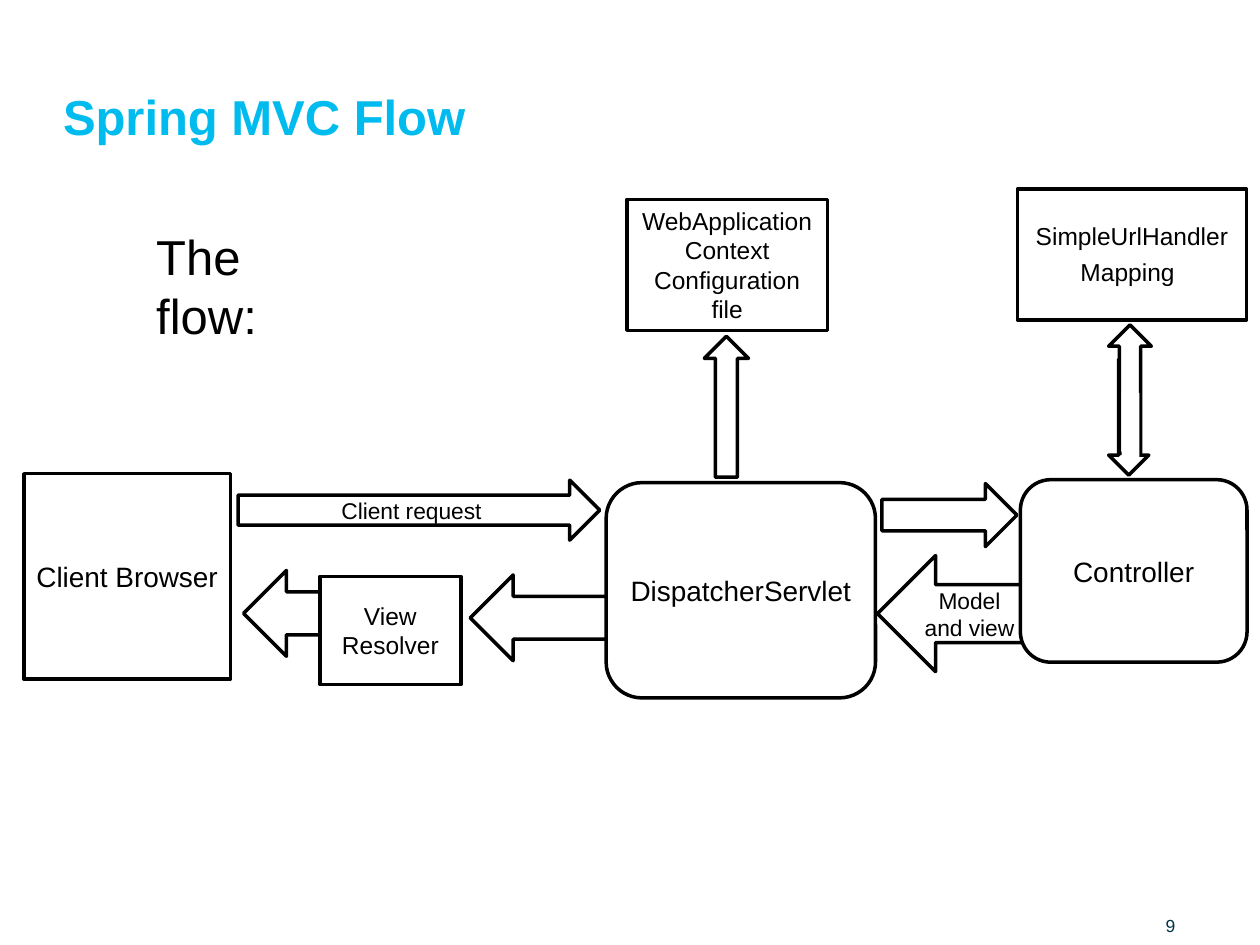
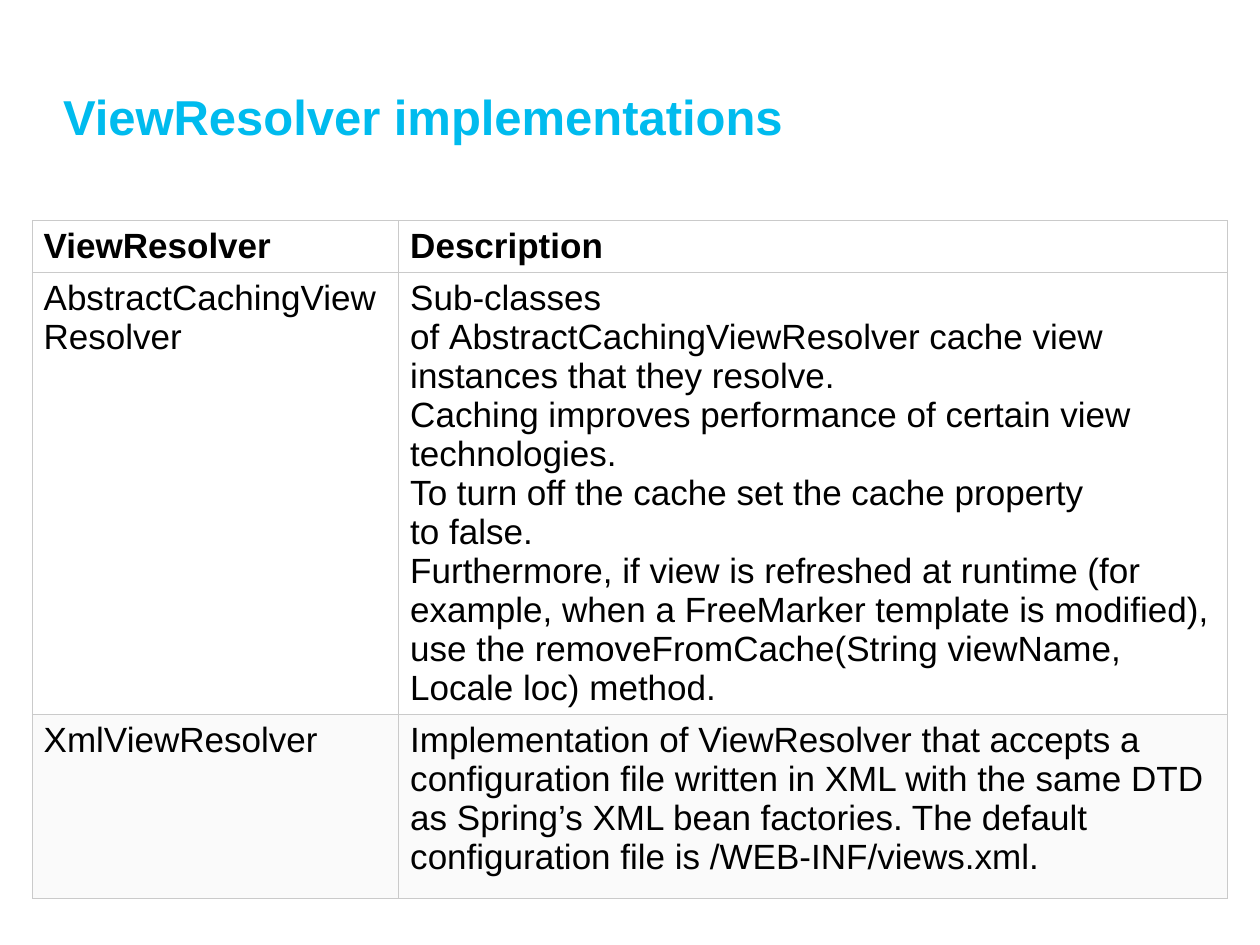
"""Build two slides on the Spring MVC flow and its view resolvers."""
from lxml.etree import SubElement
from pptx import Presentation
from pptx.dml.color import RGBColor
from pptx.enum.shapes import MSO_SHAPE as Kind
from pptx.enum.text import MSO_ANCHOR, MSO_AUTO_SIZE, PP_ALIGN
from pptx.oxml.ns import qn
from pptx.util import Cm, Pt

BLUE, BLACK, WHITE, NAVY = "00BBEE", "000000", "FFFFFF", "003344"
GRAY, PALE = "CACACA", "FAFAFA"
HARD = chr(160)
BARE = dict.fromkeys(
    ["margin_left", "margin_right", "margin_top", "margin_bottom"], 0)
LOW = {**BARE, "word_wrap": True, "vertical_anchor": MSO_ANCHOR.BOTTOM,
       "auto_size": MSO_AUTO_SIZE.NONE}
MID = {"word_wrap": True, "vertical_anchor": MSO_ANCHOR.MIDDLE}


def paint(target, shade):
    """Give a font or line its colour, or a fill its solid colour."""
    if hasattr(target, "solid"):
        target.solid()
        target.fore_color.rgb = RGBColor.from_string(shade)
    else:
        paint(target.fill, shade)


def write(frame, lines, size, shade=BLACK, bold=False, form={}, para={}):
    """Fill a text frame with one paragraph per line."""
    for key, value in form.items():
        setattr(frame, key, value)
    frame.text = "\n".join(lines)
    for part in frame.paragraphs:
        for key, value in para.items():
            setattr(part, key, value)
        for run in part.runs:
            look = {"name": "Arial", "size": Pt(size), "bold": bold}
            for key, value in look.items():
                setattr(run.font, key, value)
            paint(run.font, shade)


deck = Presentation()
deck.slide_width, deck.slide_height = Cm(25.4), Cm(19.05)

pages = []
for name in ["Spring MVC Flow", "ViewResolver implementations"]:
    page = deck.slides.add_slide(deck.slide_layouts[5])
    title = page.shapes.title
    spot = {"left": Cm(1.27), "top": Cm(0.53),
            "width": Cm(22.86), "height": Cm(2.41)}
    for key, value in spot.items():
        setattr(title, key, value)
    write(title.text_frame, [name], 28, BLUE, True, LOW,
          {"alignment": PP_ALIGN.LEFT, "line_spacing": Pt(26)})
    pages.append(page)
flow, guide = pages

nodes = [
    (Kind.LEFT_ARROW, 4.91, 11.5, 1.98, 1.73, "", 14),
    (Kind.RECTANGLE, 0.48, 9.55, 4.17, 4.14, "Client Browser", 16),
    (Kind.RIGHT_ARROW, 4.8, 9.68, 7.29, 1.21, "Client request", 13),
    (Kind.RECTANGLE, 6.45, 11.62, 2.84, 2.18, "View Resolver", 14),
    (Kind.LEFT_ARROW, 9.48, 11.59, 4.65, 1.73, "", 14),
    (Kind.ROUNDED_RECTANGLE, 12.22, 9.73, 5.43, 4.34,
     "DispatcherServlet", 16),
    (Kind.RIGHT_ARROW, 17.78, 9.75, 2.72, 1.27, "", 14),
    (Kind.LEFT_ARROW, 17.69, 11.2, 3.12, 2.34, "Model and view", 13),
    (Kind.RECTANGLE, 20.51, 3.81, 4.62, 2.64,
     "SimpleUrlHandlerMapping", 14),
    (Kind.DOWN_ARROW, 22.35, 7.24, 0.81, 2.34, "", 14),
    (Kind.UP_ARROW, 22.35, 6.55, 0.86, 2.59, "", 14),
    (Kind.RECTANGLE, 12.64, 4.02, 4.04, 2.64,
     "WebApplicationContext Configuration file", 14),
    (Kind.UP_ARROW, 14.2, 6.78, 0.89, 2.84, "", 14),
    (Kind.RECTANGLE, 22.61, 7.92, 0.36, 1.3, "", 0),
    (Kind.ROUNDED_RECTANGLE, 20.57, 9.67, 4.57, 3.68, "Controller", 16),
]
for kind, left, top, width, height, label, size in nodes:
    node = flow.shapes.add_shape(
        kind, Cm(left), Cm(top), Cm(width), Cm(height))
    node.shadow.inherit = False
    paint(node.fill, WHITE)
    if size:
        paint(node.line, BLACK)
        node.line.width = Pt(2)
    else:
        node.line.fill.background()
    if label:
        write(node.text_frame, [label], size, form=MID,
              para={"alignment": PP_ALIGN.CENTER})
    if label.endswith("Mapping"):
        tail = node.text_frame.paragraphs[0].add_run()
        tail.text = " "
        tail.font.name, tail.font.size = "Arial", Pt(18)

intro = flow.shapes.add_textbox(Cm(2.9), Cm(4.45), Cm(4.27), Cm(1.45))
write(intro.text_frame, ["The flow:"], 28, form={"word_wrap": True})
count = flow.shapes.add_textbox(Cm(23.5), Cm(18.16), Cm(1.75), Cm(0.71))
write(count.text_frame, ["9"], 10, NAVY, form=LOW)

rows = [
    (0.91, WHITE, ["ViewResolver"], ["Description"]),
    (7.85, WHITE, ["AbstractCachingView Resolver"], [
        f"Sub-classes of{HARD}AbstractCachingViewResolver{HARD}cache view "
        "instances that they resolve.",
        "Caching improves performance of certain view technologies.",
        f"To turn off the cache set the{HARD}cache{HARD}property "
        f"to{HARD}false.",
        "Furthermore, if view is refreshed at runtime (for example, when a "
        f"FreeMarker template is modified), use the{HARD}"
        f"removeFromCache(String viewName, Locale loc){HARD}method."]),
    (3.71, PALE, ["XmlViewResolver"], [
        f"Implementation of{HARD}ViewResolver{HARD}that accepts a "
        "configuration file written in XML with the same DTD as Spring’s "
        "XML bean factories. The default configuration file "
        f"is{HARD}/WEB-INF/views.xml."]),
]
grid = guide.shapes.add_table(
    len(rows), 2, Cm(0.65), Cm(4.45), Cm(24.1), Cm(12.47)).table
grid.first_row = grid.horz_banding = False
for column, width in zip(grid.columns, [7.39, 16.71]):
    column.width = Cm(width)
for index, (height, shade, *texts) in enumerate(rows):
    grid.rows[index].height = Cm(height)
    for cell, lines in zip(grid.rows[index].cells, texts):
        write(cell.text_frame, lines, 20, bold=index == 0)
        cell.margin_left = cell.margin_right = Cm(0.23)
        paint(cell.fill, shade)
        props = cell.fill._xPr
        for place, side in enumerate(["lnL", "lnR", "lnT", "lnB"]):
            edge = SubElement(props, qn("a:" + side), w=str(Pt(0.6)))
            fill = SubElement(edge, qn("a:solidFill"))
            SubElement(fill, qn("a:srgbClr"), val=GRAY)
            props.insert(place, edge)

deck.save("out.pptx")
